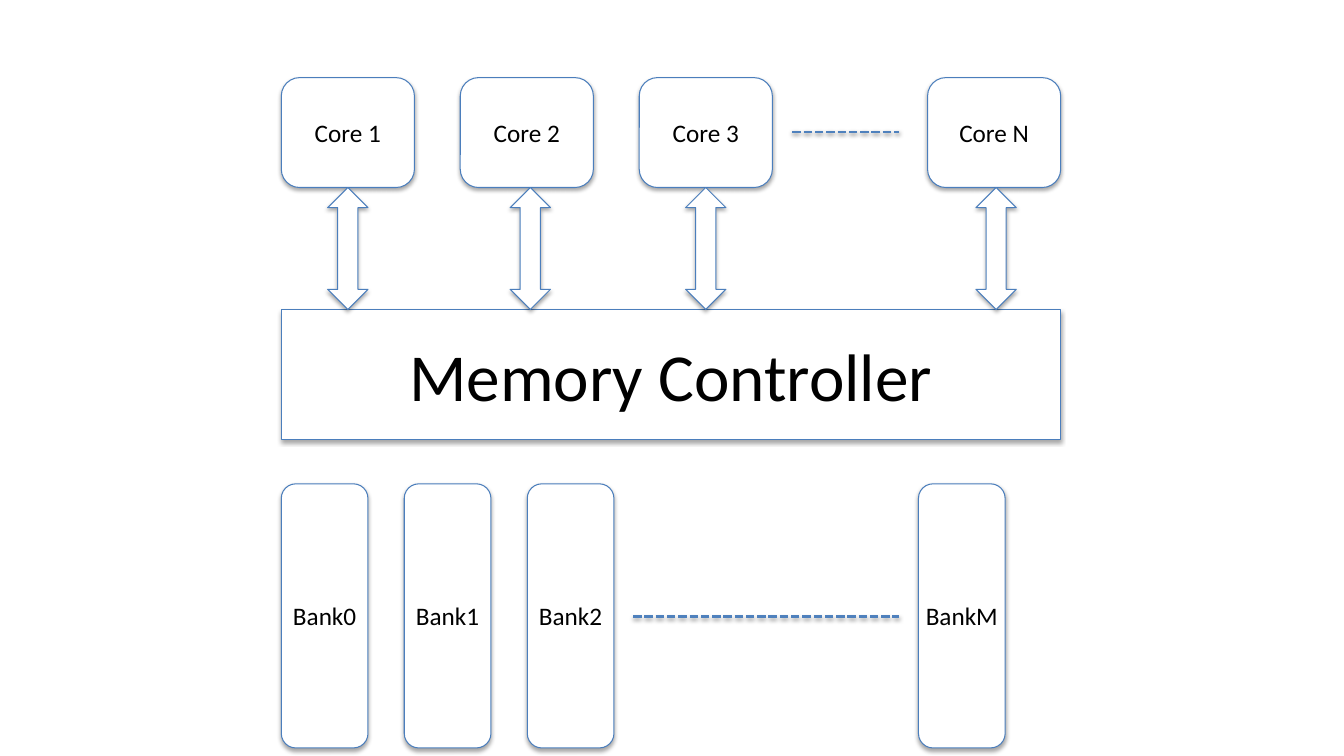
import pptx
import pptx.dml.color
import pptx.enum.dml
import pptx.enum.shapes
import pptx.enum.text
import pptx.oxml
import pptx.oxml.ns
import pptx.util
from dataclasses import dataclass

Inches = pptx.util.Inches
Pt = pptx.util.Pt
Preset = pptx.enum.shapes.MSO_SHAPE


@dataclass(frozen=True)
class Theme:
    font: str = "Calibri"
    ink: str = "000000"
    paper: str = "FFFFFF"
    outline: str = "4B7EBC"
    dash: str = "4F81BD"
    title_size: int = 48
    label_size: int = 18
    outline_width: float = 0.75
    dash_width: float = 2


def rgb(code):
    return pptx.dml.color.RGBColor.from_string(code)


def write_text(shape, text, *, font, size, color, margin=None):
    frame = shape.text_frame
    frame.word_wrap = True
    frame.vertical_anchor = pptx.enum.text.MSO_ANCHOR.MIDDLE
    if margin is not None:
        frame.margin_left = frame.margin_right = Inches(margin)
        frame.margin_top = frame.margin_bottom = Inches(margin)
    para = frame.paragraphs[0]
    para.alignment = pptx.enum.text.PP_ALIGN.CENTER
    span = para.add_run()
    span.text = text
    span.font.name = font
    span.font.size = Pt(size)
    span.font.color.rgb = rgb(color)


class Diagram:
    def __init__(self, page, theme):
        self.page = page
        self.theme = theme

    def add_shadow(self, shape, opacity, distance):
        shape._element.spPr.append(pptx.oxml.parse_xml(
            f'<a:effectLst {pptx.oxml.ns.nsdecls("a")}>'
            f'<a:outerShdw blurRad="{Pt(3.1)}" dist="{Pt(distance)}" dir="5400000" rotWithShape="0">'
            f'<a:srgbClr val="{self.theme.ink}"><a:alpha val="{opacity * 1000}"/></a:srgbClr>'
            '</a:outerShdw></a:effectLst>'))

    def shape(self, preset, left, top, width, height):
        shape = self.page.shapes.add_shape(
            preset, Inches(left), Inches(top), Inches(width), Inches(height))
        shape.fill.solid()
        shape.fill.fore_color.rgb = rgb(self.theme.paper)
        shape.line.color.rgb = rgb(self.theme.outline)
        shape.line.width = Pt(self.theme.outline_width)
        self.add_shadow(shape, 35, 1.8)
        return shape

    def box(self, preset, text, left, top, width, height, size, margin=None):
        box = self.shape(preset, left, top, width, height)
        write_text(box, text, font=self.theme.font, size=size,
                   color=self.theme.ink, margin=margin)

    def vertical_arrow(self, center, top, length, thickness):
        arrow = self.shape(Preset.LEFT_RIGHT_ARROW, center - length / 2,
                           top + (length - thickness) / 2, length, thickness)
        arrow.rotation = 270

    def dashes(self, start, end, height):
        line = self.page.shapes.add_connector(
            pptx.enum.shapes.MSO_CONNECTOR.STRAIGHT,
            Inches(start), Inches(height), Inches(end), Inches(height))
        line.line.color.rgb = rgb(self.theme.dash)
        line.line.width = Pt(self.theme.dash_width)
        line.line.dash_style = pptx.enum.dml.MSO_LINE.SQUARE_DOT
        self.add_shadow(line, 38, 1.6)

    def row(self, names, last_left, left, step, top, width, height, margin=None):
        lefts = [left + step * index for index in range(len(names) - 1)] + [last_left]
        for name, place in zip(names, lefts):
            self.box(Preset.ROUNDED_RECTANGLE, name, place, top, width, height,
                     self.theme.label_size, margin)


def main():
    deck = pptx.Presentation()
    deck.slide_width = Inches(13.33)
    deck.slide_height = Inches(7.5)
    page = deck.slides.add_slide(deck.slide_layouts[6])
    theme = Theme()
    diagram = Diagram(page, theme)
    left = 2.79
    dashes_end = 8.92

    diagram.box(Preset.RECTANGLE, "Memory Controller", left, 3.07, 7.73, 1.29,
                theme.title_size)
    diagram.row(["Core 1", "Core 2", "Core 3", "Core N"], last_left=9.2,
                left=left, step=1.775, top=0.77, width=1.32, height=1.09)
    diagram.dashes(7.86, dashes_end, 1.31)
    for center in (3.45, 5.26, 7, 9.88):
        diagram.vertical_arrow(center, top=1.86, length=1.21, thickness=0.4)
    diagram.row(["Bank0", "Bank1", "Bank2", "BankM"], last_left=9.11,
                left=left, step=1.22, top=4.8, width=0.86, height=2.62, margin=0)
    diagram.dashes(6.28, dashes_end, 6.12)

    deck.save("out.pptx")


if __name__ == "__main__":
    main()
